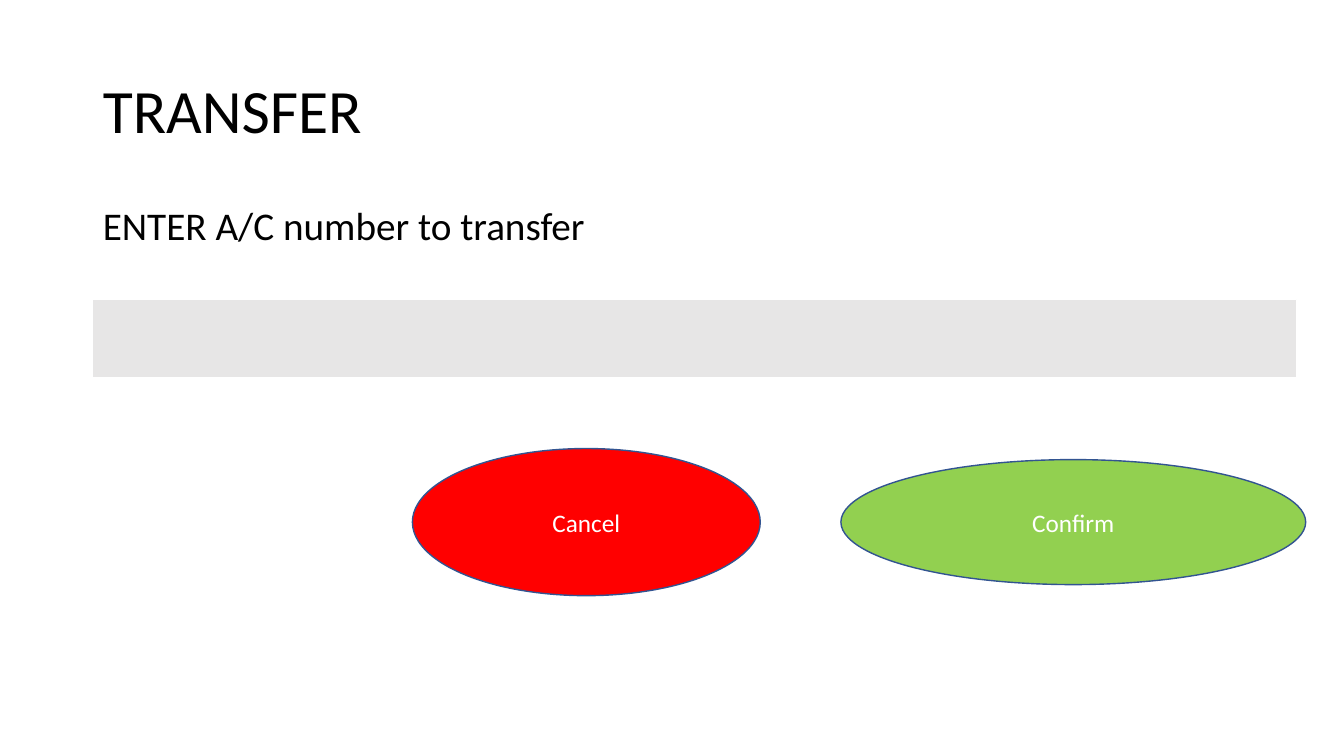
from pptx import Presentation
from pptx.util import Inches, Pt
from pptx.dml.color import RGBColor
from pptx.enum.shapes import MSO_SHAPE as Shape
from pptx.enum.text import PP_ALIGN as Align, MSO_ANCHOR as Anchor, MSO_AUTO_SIZE as Fit
from pptx.oxml.ns import qn
from lxml.etree import SubElement

# Content
TITLE = "TRANSFER"
PROMPT = "ENTER A/C number to transfer"
BUTTONS = [  # label, fill, left, width, height
    ("Cancel", "red", 4.09, 3.45, 1.46),
    ("Confirm", "green", 8.34, 4.61, 1.24),
]

# Theme
THEME = {
    "font": "Calibri", "title": 44, "body": 28, "label": 18,
    "ink": "000000", "white": "FFFFFF", "edge": "325491",
    "red": "FF0000", "green": "92D050", "field": "E7E6E6",
}

# Layout
WIDE, HIGH = 13.33, 7.5
LEFT, SPAN = 0.92, 11.5
MID = 5.18  # shared centre line of the buttons


def color(name):
    return RGBColor.from_string(THEME[name])


def write(shape, text, size, ink, align, anchor):
    frame = shape.text_frame
    frame.text = text
    frame.word_wrap = True
    frame.auto_size = Fit.NONE
    frame.vertical_anchor = anchor
    para = frame.paragraphs[0]
    para.alignment = align
    font = para.runs[0].font
    font.name, font.size = THEME["font"], Pt(THEME[size])
    font.color.rgb = color(ink)
    return para


def place(shape, *box):
    shape.left, shape.top, shape.width, shape.height = map(Inches, box)


def draw(kind, box, fill, edge):
    shape = slide.shapes.add_shape(kind, *map(Inches, box))
    shape.shadow.inherit = False
    shape.fill.solid()
    shape.fill.fore_color.rgb = color(fill)
    shape.line.color.rgb = color(edge)
    shape.line.width = Pt(1)
    return shape


deck = Presentation()
deck.slide_width, deck.slide_height = Inches(WIDE), Inches(HIGH)
slide = deck.slides.add_slide(deck.slide_layouts[1])
title, body = slide.placeholders

# Title
place(title, LEFT, 0.4, SPAN, 1.45)
para = write(title, TITLE, "title", "ink", Align.LEFT, Anchor.MIDDLE)
para.line_spacing = 0.9

# Prompt, without a bullet
place(body, LEFT, 2, SPAN, 0.79)
para = write(body, PROMPT, "body", "ink", Align.LEFT, Anchor.TOP)
para.line_spacing, para.space_before = 0.9, Pt(10)
props = para._p.get_or_add_pPr()
props.set("marL", "0")
props.set("indent", "0")
SubElement(props, qn("a:buNone"))

# Buttons
for label, fill, left, width, height in BUTTONS:
    box = (left, MID - height / 2, width, height)
    button = draw(Shape.OVAL, box, fill, "edge")
    write(button, label, "label", "white", Align.CENTER, Anchor.MIDDLE)

# Entry field
draw(Shape.RECTANGLE, (LEFT, 2.97, 11.94, 0.78), "field", "white")

deck.save("out.pptx")
